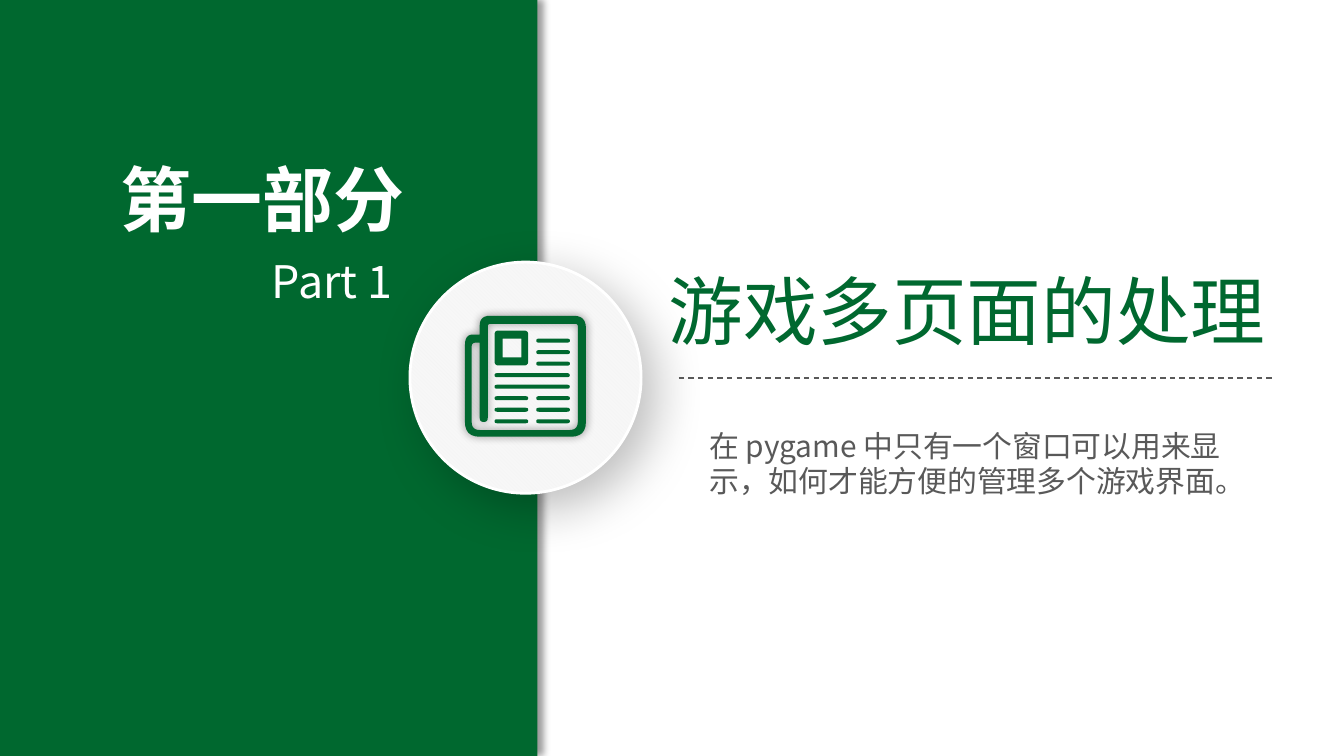
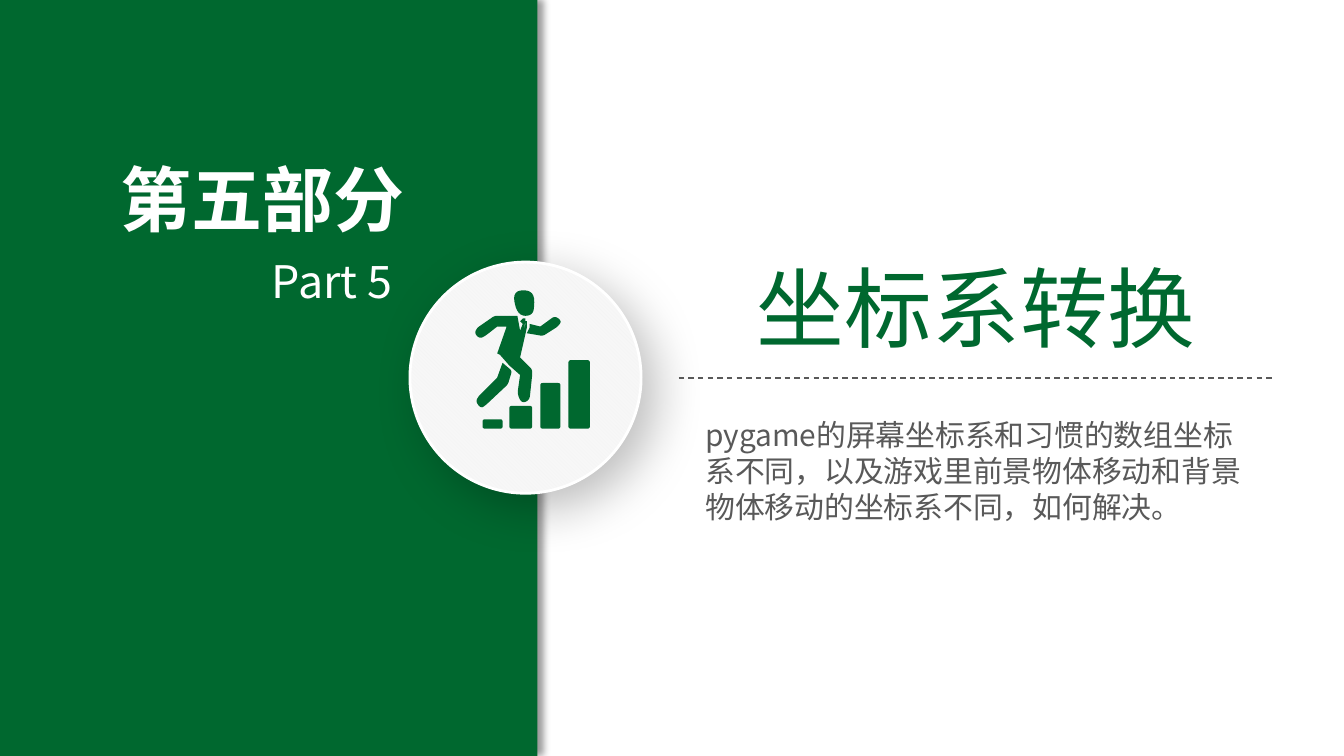
from pptx import Presentation
from pptx.dml.color import RGBColor
from pptx.enum import dml, shapes, text
from pptx.oxml import ns
from pptx.util import Inches, Pt
from lxml import etree

FONT = "Noto Sans CJK SC"
COLORS = {
    "green": "00682F", "white": "FFFFFF", "grey": "595959",
    "badge_fore": "F3F3F3", "badge_back": "F7F7F7", "shadow": "000000",
}
WIDTH = 10
HEIGHT = WIDTH * 9 / 16
PANEL = (0, 0, 4, HEIGHT)
BADGE = (3.05, 1.95, 1.72, 1.72)
RIGHT, CENTER, LEFT = text.PP_ALIGN.RIGHT, text.PP_ALIGN.CENTER, text.PP_ALIGN.LEFT


def rgb(name):
    return RGBColor.from_string(COLORS[name])


def sub(parent, tag, **attrs):
    el = etree.SubElement(parent, ns.qn(tag))
    for key, value in attrs.items():
        el.set(key, str(value))
    return el


def add_shadow(sp, alpha, blur, dist, angle):
    sp.shadow.inherit = False
    effects = sp._element.spPr.find(ns.qn("a:effectLst"))
    outer = sub(effects, "a:outerShdw", blurRad=Pt(blur), dist=Pt(dist),
                dir=angle * 60000, algn="ctr", rotWithShape=0)
    color = sub(outer, "a:srgbClr", val=COLORS["shadow"])
    sub(color, "a:alpha", val=alpha * 1000)


def write(sp, words, size, color, align=LEFT, bold=False, inset=(0.1, 0.05)):
    tf = sp.text_frame
    tf.text = words
    tf.word_wrap = True
    tf.auto_size = text.MSO_AUTO_SIZE.SHAPE_TO_FIT_TEXT
    tf.vertical_anchor = text.MSO_ANCHOR.TOP
    tf.margin_left = tf.margin_right = Inches(inset[0])
    tf.margin_top = tf.margin_bottom = Inches(inset[1])
    p = tf.paragraphs[0]
    p.alignment = align
    for r in p.runs:
        r.font.size = Pt(size)
        r.font.bold = bold
        r.font.color.rgb = rgb(color)
        r.font.name = FONT
        sub(r._r.get_or_add_rPr(), "a:ea", typeface=FONT)


def add_label(slide, box, *args, **style):
    write(slide.shapes.add_textbox(*map(Inches, box)), *args, **style)


def rounded(corners):
    points = []
    for i, (x, y, r) in enumerate(corners):
        if not r:
            points.append((x, y))
            continue
        ends = []
        for nx, ny, _ in (corners[i - 1], corners[(i + 1) % len(corners)]):
            length = ((nx - x) ** 2 + (ny - y) ** 2) ** 0.5
            k = min(r / length, 0.5)
            ends.append((x + (nx - x) * k, y + (ny - y) * k))
        (ax, ay), (bx, by) = ends
        for step in range(7):
            t = step / 6
            a, c, b = (1 - t) ** 2, 2 * t * (1 - t), t * t
            points.append((a * ax + c * x + b * bx, a * ay + c * y + b * by))
    return points


def block(x, y, w, h, r=0):
    return [(x, y, r), (x + w, y, r), (x + w, y + h, r), (x, y + h, r)]


def add_outline(group, origin, *contours):
    builder = None
    for corners in contours:
        pts = [(Inches(origin[0] + x), Inches(origin[1] + y))
               for x, y in rounded(corners)]
        if builder is None:
            builder = group.shapes.build_freeform(*pts[0])
        else:
            builder.move_to(*pts[0])
        builder.add_line_segments(pts[1:], close=True)
    sp = builder.convert_to_shape()
    sp.shadow.inherit = False
    sp.fill.solid()
    sp.fill.fore_color.rgb = rgb("green")
    sp.line.fill.background()
    return sp


def newspaper_icon(slide, badge):
    origin = (badge[0] + 0.41, badge[1] + 0.4)
    group = slide.shapes.add_group_shape()
    sheet = [(0.11, 0, 0.08), (0.9, 0, 0.09), (0.9, 0.9, 0.11),
             (0, 0.9, 0.11), (0, 0.14, 0.08), (0.11, 0.14, 0)]
    inside = [(0.17, 0.06, 0.02), (0.84, 0.06, 0.02), (0.84, 0.85, 0.06),
              (0.05, 0.85, 0.06), (0.05, 0.2, 0.03), (0.11, 0.2, 0),
              (0.11, 0.79, 0.03), (0.17, 0.79, 0.03)]
    add_shadow(add_outline(group, origin, sheet, inside), 40, 5, 0, 0)
    left, right = (0.22, 0.25), (0.53, 0.25)
    rows = [[right]] * 3 + [[(0.22, 0.56)]] * 2 + [[left, right]] * 3
    pitch = 0.6 / len(rows[1:])
    for i, row in enumerate(rows):
        for x, w in row:
            add_outline(group, origin, block(x, 0.17 + pitch * i, w, 0.03, 0.02))
    add_outline(group, origin, block(0.22, 0.11, 0.25, 0.26, 0.03),
                block(0.28, 0.17, 0.14, 0.14))


def climber_icon(slide, badge):
    origin = (badge[0] + 0.48, badge[1] + 0.21)
    group = slide.shapes.add_group_shape()
    for x, w, h in ((0.06, 0.15, 0.07), (0.26, 0.17, 0.17),
                    (0.49, 0.15, 0.34), (0.7, 0.16, 0.51)):
        add_outline(group, origin, block(x, 1.03 - h, w, h, 0.02))
    head = [(0.28, 0, 0.09), (0.45, 0, 0.09), (0.44, 0.19, 0.06), (0.32, 0.19, 0.09)]
    back_leg = [(0.21, 0.54, 0), (0.17, 0.65, 0), (0.03, 0.79, 0.02),
                (0.01, 0.83, 0.03), (0.05, 0.88, 0.03), (0.09, 0.85, 0.02),
                (0.25, 0.7, 0.02), (0.28, 0.6, 0.02)]
    arm = [(0.51, 0.34, 0.02), (0.62, 0.27, 0.02), (0.65, 0.23, 0.03),
           (0.6, 0.19, 0.03), (0.49, 0.27, 0), (0.41, 0.25, 0),
           (0.41, 0.28, 0), (0.39, 0.32, 0)]
    body = [(0.34, 0.5, 0), (0.39, 0.28, 0), (0.39, 0.23, 0), (0.38, 0.23, 0),
            (0.36, 0.32, 0), (0.38, 0.25, 0), (0.38, 0.21, 0), (0.36, 0.21, 0),
            (0.34, 0.23, 0), (0.36, 0.25, 0), (0.34, 0.3, 0), (0.32, 0.19, 0),
            (0.15, 0.19, 0.02), (0.02, 0.28, 0.02), (0, 0.32, 0.03),
            (0.04, 0.36, 0.03), (0.08, 0.34, 0.02), (0.17, 0.27, 0),
            (0.24, 0.27, 0), (0.17, 0.47, 0), (0.19, 0.48, 0), (0.26, 0.56, 0),
            (0.34, 0.63, 0), (0.32, 0.77, 0.03), (0.35, 0.84, 0.04),
            (0.41, 0.82, 0.04), (0.43, 0.63, 0.02), (0.43, 0.59, 0.02)]
    for part in (head, back_leg, arm, body):
        add_outline(group, origin, part)


def add_panel(slide, box):
    sp = slide.shapes.add_shape(shapes.MSO_SHAPE.RECTANGLE, *map(Inches, box))
    sp.fill.solid()
    sp.fill.fore_color.rgb = rgb("green")
    sp.line.fill.background()
    add_shadow(sp, 40, 4, 3, 0)


def add_badge(slide, box):
    sp = slide.shapes.add_shape(shapes.MSO_SHAPE.OVAL, *map(Inches, box))
    sp.fill.patterned()
    sp.fill.pattern = dml.MSO_PATTERN.DARK_DOWNWARD_DIAGONAL
    sp.fill.fore_color.rgb = rgb("badge_fore")
    sp.fill.back_color.rgb = rgb("badge_back")
    sp.line.color.rgb = rgb("white")
    sp.line.width = Pt(1.5)
    add_shadow(sp, 25, 27, 10, 45)


def add_divider(slide, x, y, width):
    line = slide.shapes.add_connector(
        shapes.MSO_CONNECTOR.STRAIGHT, *map(Inches, (x, y, x + width, y)))
    line.line.color.rgb = rgb("grey")
    line.line.width = Pt(0.75)
    line.line.dash_style = dml.MSO_LINE.DASH
    sub(line._element.spPr, "a:effectLst")


def add_part_labels(slide, panel, number, part):
    x, y = panel[:2]
    add_label(slide, (x + 1.04, y + 1.85, 1.95, 0.48), part, 24, "white",
              align=RIGHT, inset=(0.07, 0.04))
    add_label(slide, (x + 0.8, y + 1.12, 2.31, 0.72), number, 38, "white",
              align=CENTER, bold=True, inset=(0.07, 0.04))


def section_slide(prs, number, part, title, title_box, size, summary, summary_box, icon):
    slide = prs.slides.add_slide(prs.slide_layouts[5])
    add_panel(slide, PANEL)
    add_badge(slide, BADGE)
    sp = slide.shapes.title
    sp.left, sp.top, sp.width, sp.height = map(Inches, title_box)
    write(sp, title, size, "green", align=CENTER, inset=(0.08, 0.04))
    add_label(slide, summary_box, summary, 16, "grey")
    add_divider(slide, 5.05, HEIGHT / 2, 4.42)
    icon(slide, BADGE)
    add_part_labels(slide, PANEL, number, part)


def main():
    prs = Presentation()
    prs.slide_width, prs.slide_height = Inches(WIDTH), Inches(HEIGHT)
    section_slide(
        prs, "第一部分", "Part 1", "游戏多页面的处理", (4.76, 1.93, 4.87, 0.75), 40,
        "在 pygame 中只有一个窗口可以用来显示，如何才能方便的管理多个游戏界面。",
        (5.18, 3.13, 4.12, 0.64), newspaper_icon)
    section_slide(
        prs, "第五部分", "Part 5", "坐标系转换", (4.83, 1.85, 4.87, 0.87), 47,
        "pygame的屏幕坐标系和习惯的数组坐标系不同，以及游戏里前景物体移动和背景物体移动的坐标系不同，如何解决。",
        (5.15, 3.05, 4.21, 0.91), climber_icon)
    prs.save("out.pptx")


if __name__ == "__main__":
    main()
